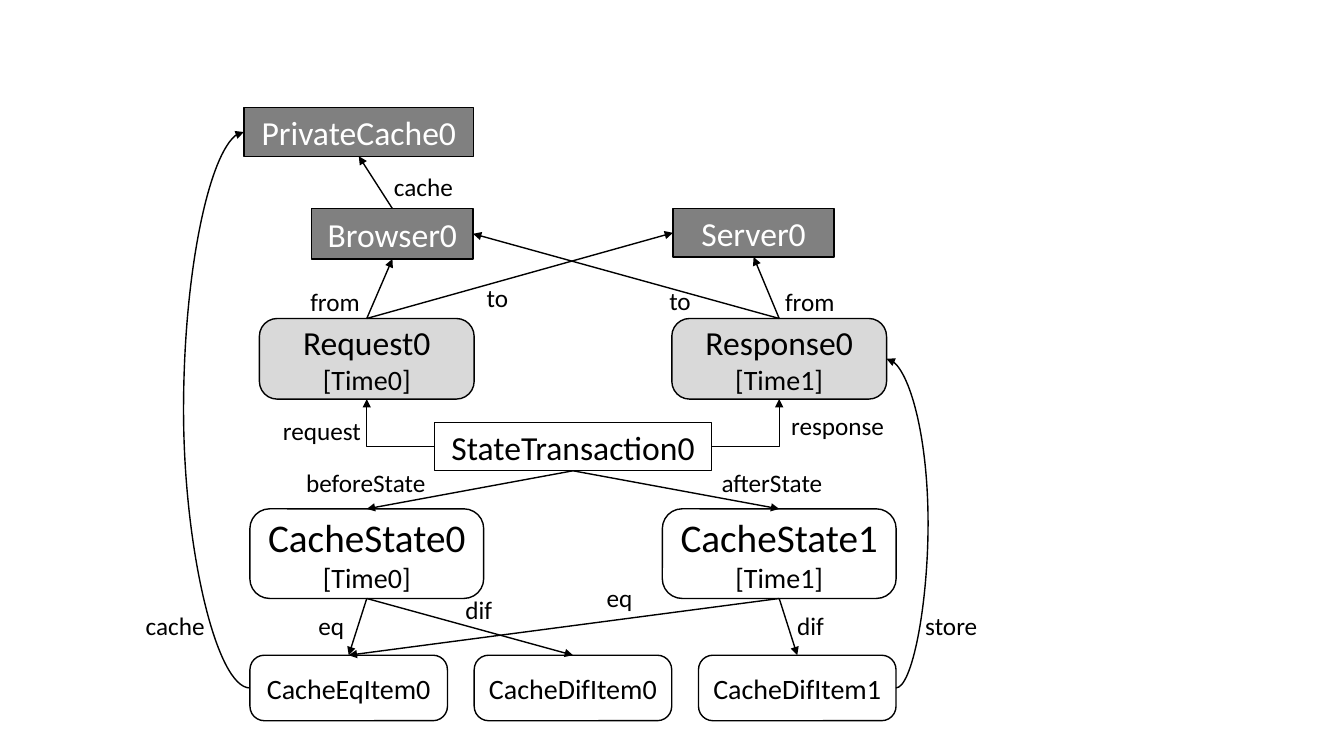
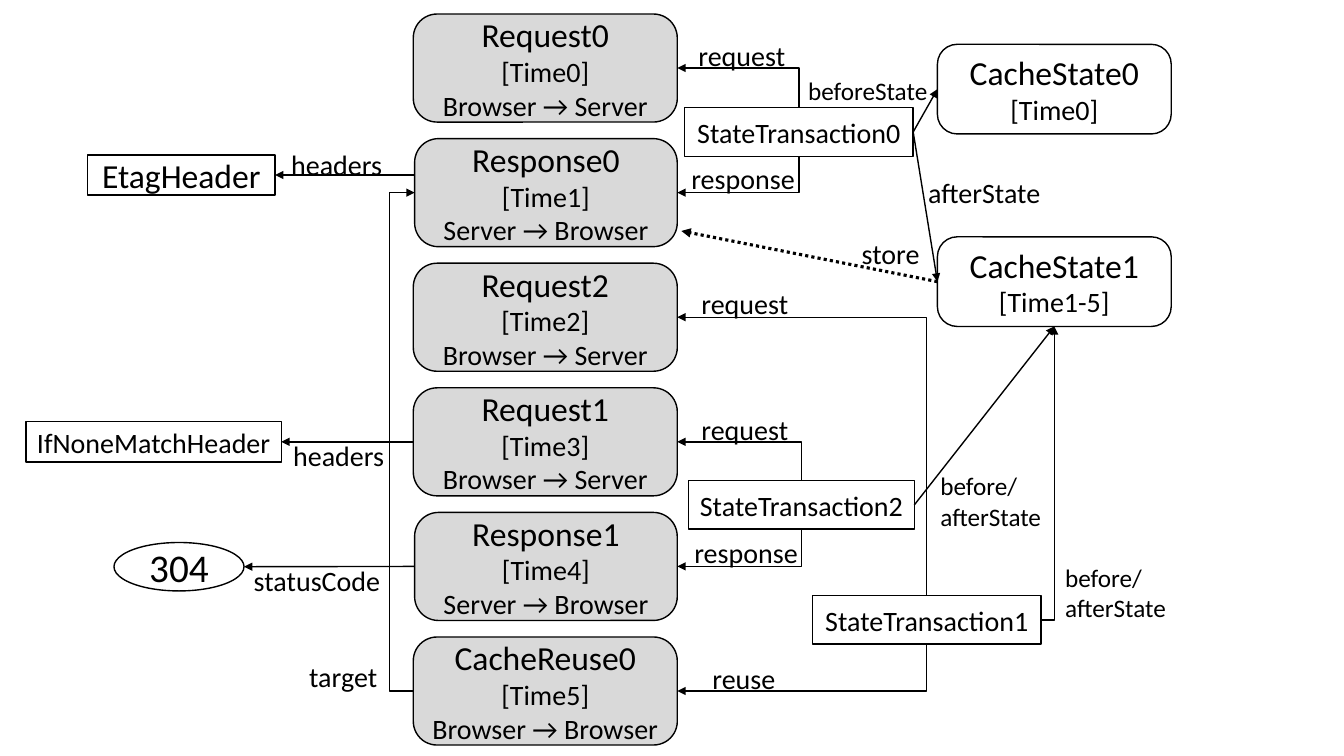
import collections

import lxml.etree
import pptx
import pptx.dml.color
import pptx.enum.dml
import pptx.enum.shapes
import pptx.enum.text
import pptx.oxml.ns
import pptx.util

Pt = pptx.util.Pt
RGBColor = pptx.dml.color.RGBColor
qn = pptx.oxml.ns.qn
Preset = pptx.enum.shapes.MSO_SHAPE
Route = pptx.enum.shapes.MSO_CONNECTOR

BLACK = RGBColor(0x00, 0x00, 0x00)
WHITE = RGBColor(0xFF, 0xFF, 0xFF)
DARK_GREY = RGBColor(0x80, 0x80, 0x80)
LIGHT_GREY = RGBColor(0xD9, 0xD9, 0xD9)
FONT = "Calibri"
CORNER = 0.22
SIDES = ("top", "left", "bottom", "right")  # order of the connection sites

Box = collections.namedtuple("Box", "left top width height")


# Shared parts
def inside(area, x, y, width, height):
    """A box placed relative to another one."""
    return Box(area.left + x, area.top + y, width, height)


def centred(area, offset, y, width, height):
    """A box whose middle lies offset points from the middle of the area."""
    return inside(area, area.width / 2 + offset - width / 2, y, width, height)


def write(paragraph, text, size, color):
    run = paragraph.add_run()
    run.text = text
    run.font.name = FONT
    run.font.size = Pt(size)
    run.font.color.rgb = color


def node(slide, box, lines, size=20, fill=None, color=BLACK, preset=Preset.RECTANGLE):
    """An outlined object; lines after the first are set in 20 points."""
    shape = slide.shapes.add_shape(preset, *map(Pt, box))
    shape.shadow.inherit = False
    if preset == Preset.ROUNDED_RECTANGLE:
        shape.adjustments[0] = CORNER
    if fill is None:
        shape.fill.background()
    else:
        shape.fill.solid()
        shape.fill.fore_color.rgb = fill
    shape.line.color.rgb = BLACK
    shape.line.width = Pt(1)
    frame = shape.text_frame
    frame.word_wrap = True
    frame.margin_left = frame.margin_right = 0
    frame.vertical_anchor = pptx.enum.text.MSO_ANCHOR.MIDDLE
    for index, text in enumerate(lines):
        paragraph = frame.add_paragraph() if index else frame.paragraphs[0]
        paragraph.alignment = pptx.enum.text.PP_ALIGN.CENTER
        write(paragraph, text, 20 if index else size, color)
    return shape


def rounded(slide, box, lines, size=24, fill=None):
    return node(slide, box, lines, size, fill, preset=Preset.ROUNDED_RECTANGLE)


def label(slide, area, x, y, width, text, size):
    lines = text.split("\n")
    box = inside(area, x, y, width, len(lines) * size * 1.22 + 7.2)
    frame = slide.shapes.add_textbox(*map(Pt, box)).text_frame
    frame.word_wrap = False
    frame.auto_size = pptx.enum.text.MSO_AUTO_SIZE.SHAPE_TO_FIT_TEXT
    for index, line in enumerate(lines):
        paragraph = frame.add_paragraph() if index else frame.paragraphs[0]
        write(paragraph, line, size, BLACK)


def anchor(shape, side):
    """Middle of one side of a shape."""
    x = {"left": 0, "right": shape.width}.get(side, shape.width // 2)
    y = {"top": 0, "bottom": shape.height}.get(side, shape.height // 2)
    return shape.left + x, shape.top + y


def turn_upright(arrow, start, end):
    """Makes a one-corner arrow leave vertically and arrive from the right."""
    width, height = abs(end[1] - start[1]), abs(end[0] - start[0])
    arrow.left = (start[0] + end[0] - width) // 2
    arrow.top = (start[1] + end[1] - height) // 2
    arrow.width, arrow.height = width, height
    xfrm = arrow._element.spPr.find(qn("a:xfrm"))
    xfrm.attrib.pop("flipH", None)
    xfrm.attrib.pop("flipV", None)
    if end[1] > start[1]:
        xfrm.set("rot", "5400000")
    else:
        xfrm.set("rot", "16200000")
        xfrm.set("flipV", "1")


def link(slide, source, target, route=Route.STRAIGHT, bend=None, dotted=False):
    """Arrow between (shape, side) pairs or (x, y) points; bend is the x of its middle."""
    glued = [end[1] in SIDES for end in (source, target)]
    start, end = (anchor(*e) if g else e for e, g in zip((source, target), glued))
    arrow = slide.shapes.add_connector(route, *start, *end)
    if glued[0]:
        arrow.begin_connect(source[0], SIDES.index(source[1]))
    if glued[1]:
        arrow.end_connect(target[0], SIDES.index(target[1]))
    properties = arrow._element.spPr
    geometry = properties.find(qn("a:prstGeom"))
    if bend is not None:
        share = (Pt(bend) - start[0]) / (end[0] - start[0])
        guides = geometry.find(qn("a:avLst"))
        lxml.etree.SubElement(guides, qn("a:gd"), name="adj1",
                              fmla=f"val {round(share * 100000)}")
    elif route == Route.ELBOW:
        geometry.set("prst", "bentConnector2")
        if source[1] in ("top", "bottom"):
            turn_upright(arrow, start, end)
    arrow.line.color.rgb = BLACK
    arrow.line.width = Pt(2.25 if dotted else 1)
    if dotted:
        arrow.line.dash_style = pptx.enum.dml.MSO_LINE.ROUND_DOT
    lxml.etree.SubElement(properties.find(qn("a:ln")), qn("a:tailEnd"), type="triangle")
    lxml.etree.SubElement(properties, qn("a:effectLst"))


# Slide 1: objects of one transaction
def transaction_objects(slide, area):
    def actor(name, offset, y, width, height):
        box = centred(area, offset, y, width, height)
        return node(slide, box, [name], 24, DARK_GREY, WHITE)

    private_cache = actor("PrivateCache0", -153, 0, 164.2, 34.6)
    browser = actor("Browser0", -129, 72, 115.2, 36)
    server = actor("Server0", 129, 72, 115.2, 34.6)
    axis = 147.3
    request, response = (
        rounded(slide, centred(area, offset, 150.5, 153.4, 57.6), lines, fill=LIGHT_GREY)
        for offset, lines in ((-axis, ("Request0", "[Time0]")),
                              (axis, ("Response0", "[Time1]"))))
    transaction = node(slide, centred(area, 0, 224.7, 198, 34.6),
                       ["StateTransaction0"], 24)
    before, after = (
        rounded(slide, centred(area, offset, 286.5, 167, 64), lines, 28)
        for offset, lines in ((-axis, ("CacheState0", "[Time0]")),
                              (axis, ("CacheState1", "[Time1]"))))
    eq_item, dif_item, new_item = (
        rounded(slide, centred(area, 160.2 * (column - 1), 391, 141.1, 46.8), [name], 20)
        for column, name in enumerate(("CacheEqItem0", "CacheDifItem0", "CacheDifItem1")))

    for source, target in (
            ((browser, "top"), (private_cache, "bottom")),
            ((request, "top"), (browser, "bottom")),
            ((request, "top"), (server, "left")),
            ((response, "top"), (browser, "right")),
            ((response, "top"), (server, "bottom")),
            ((transaction, "bottom"), (before, "top")),
            ((transaction, "bottom"), (after, "top")),
            ((before, "bottom"), (eq_item, "top")),
            ((before, "bottom"), (dif_item, "top")),
            ((after, "bottom"), (eq_item, "top")),
            ((after, "bottom"), (new_item, "top"))):
        link(slide, source, target)
    link(slide, (transaction, "left"), (request, "bottom"), Route.ELBOW)
    link(slide, (transaction, "right"), (response, "bottom"), Route.ELBOW)
    link(slide, (eq_item, "left"), (private_cache, "left"), Route.CURVE, area.left + 34)
    link(slide, (new_item, "right"), (response, "right"), Route.CURVE, area.left + 566)

    for x, y, width, text in (
            (177.3, 42, 57, "cache"), (117.6, 124, 50.4, "from"),
            (243.6, 121, 30, "to"), (374, 123, 30, "to"), (456.7, 124, 50.4, "from"),
            (98, 216, 70.6, "request"), (461, 212.4, 81.4, "response"),
            (114.7, 253.5, 100.8, "beforeState"), (411.3, 253.5, 87.8, "afterState"),
            (228.4, 344.2, 33.8, "dif"), (329.2, 335.6, 33, "eq"),
            (0, 355.7, 57, "cache"), (123.3, 355.7, 33, "eq"),
            (465.3, 355.7, 33.8, "dif"), (556.8, 355.7, 51.8, "store")):
        label(slide, area, x, y, width, text, 18)


# Slide 2: column of messages in time order
def message_column(slide, area):
    forth, back, local = "Browser → Server", "Server → Browser", "Browser → Browser"
    messages = (("Request0", forth), ("Response0", back), ("Request2", forth),
                ("Request1", forth), ("Response1", back), ("CacheReuse0", local))
    height = 77.2
    pitch = (area.height - height) / (len(messages) - 1)
    nodes = []
    for time, (name, direction) in enumerate(messages):
        inset = 1 if direction == back else 0
        box = inside(area, inset, time * pitch, area.width - inset, height)
        nodes.append(rounded(slide, box, (name, f"[Time{time}]", direction),
                             fill=LIGHT_GREY))
    return nodes


def transactions(slide, area):
    return [node(slide, inside(area, x, y, width, 34.6), [f"StateTransaction{number}"])
            for number, (x, y, width) in enumerate(
                ((0, 0, 163.4), (91.4, 348.5, 163.4), (2.9, 266.4, 161.3)))]


def cache_states(slide, area):
    return [rounded(slide, inside(area, 0, number * 137.5, area.width, 64),
                    (f"CacheState{number}", time))
            for number, time in enumerate(("[Time0]", "[Time1-5]"))]


def message_fields(slide, area):
    etag = node(slide, inside(area, 43.9, 0, 133.9, 28.8), ["EtagHeader"], 24)
    if_none_match = node(slide, inside(area, 0, 190.6, 182.2, 28.8),
                         ["IfNoneMatchHeader"])
    status = node(slide, inside(area, 62.7, 276.9, 92.9, 34.6), ["304"], 28,
                  preset=Preset.OVAL)
    return etag, if_none_match, status


def message_sequence(slide, area):
    request0, response0, request2, request1, response1, reuse = message_column(
        slide, inside(area, 276.5, 0, 188.6, 522.2))
    first, second, third = transactions(slide, inside(area, 470.2, 67, 254.8, 383.1))
    state0, state1 = cache_states(slide, inside(area, 650.9, 21.7, 167, 201.5))
    etag, if_none_match, status = message_fields(
        slide, inside(area, 0, 100.6, 182.2, 311.5))

    # Transactions to messages
    for transaction, upper, lower in ((first, request0, response0),
                                      (second, request2, reuse),
                                      (third, request1, response1)):
        link(slide, (transaction, "top"), (upper, "right"), Route.ELBOW)
        link(slide, (transaction, "bottom"), (lower, "right"), Route.ELBOW)
    link(slide, (reuse, "left"), (response0, "left"), Route.ELBOW, area.left + 259.3)

    # Transactions to cache states
    link(slide, (first, "right"), (state0, "left"))
    link(slide, (first, "right"), (state1, "left"))
    link(slide, (third, "right"), (state1, "bottom"))
    link(slide, (second, "right"), (state1, "bottom"), Route.ELBOW)
    link(slide, (state1, "left"), (Pt(area.left + 468), Pt(area.top + 155)), dotted=True)

    # Messages to their fields
    etag_end = anchor(etag, "right")
    link(slide, (response0.left, etag_end[1]), (etag, "right"))
    link(slide, (request1, "left"), (if_none_match, "right"))
    link(slide, (response1, "left"), anchor(status, "right"))

    for x, y, width, text, size in (
            (473.1, 13.8, 77, "request", 20), (468, 101.6, 89.3, "response", 20),
            (475.2, 190.9, 77, "request", 20), (475.2, 280.9, 77, "request", 20),
            (470.2, 368.7, 89.3, "response", 20), (483.1, 458.7, 59.8, "reuse", 20),
            (551.5, 40.4, 100.8, "beforeState", 18),
            (637.2, 111.7, 96.5, "afterState", 20), (589.7, 155.6, 56.2, "store", 20),
            (645.9, 322.6, 87.8, "before/\nafterState", 18),
            (735.1, 388.2, 87.8, "before/\nafterState", 18),
            (182.2, 91.5, 80.6, "headers", 20), (183.6, 299.6, 80.6, "headers", 20),
            (155.5, 388.9, 105.8, "statusCode", 20), (195.1, 457.3, 64, "target", 20)):
        label(slide, area, x, y, width, text, size)


def main():
    deck = pptx.Presentation()
    deck.slide_width, deck.slide_height = Pt(960), Pt(540)
    blank = deck.slide_layouts[6]
    transaction_objects(deck.slides.add_slide(blank), Box(97, 77, 624.6, 438))
    message_sequence(deck.slides.add_slide(blank), Box(18.7, 10, 818, 522.2))
    deck.save("out.pptx")


if __name__ == "__main__":
    main()
